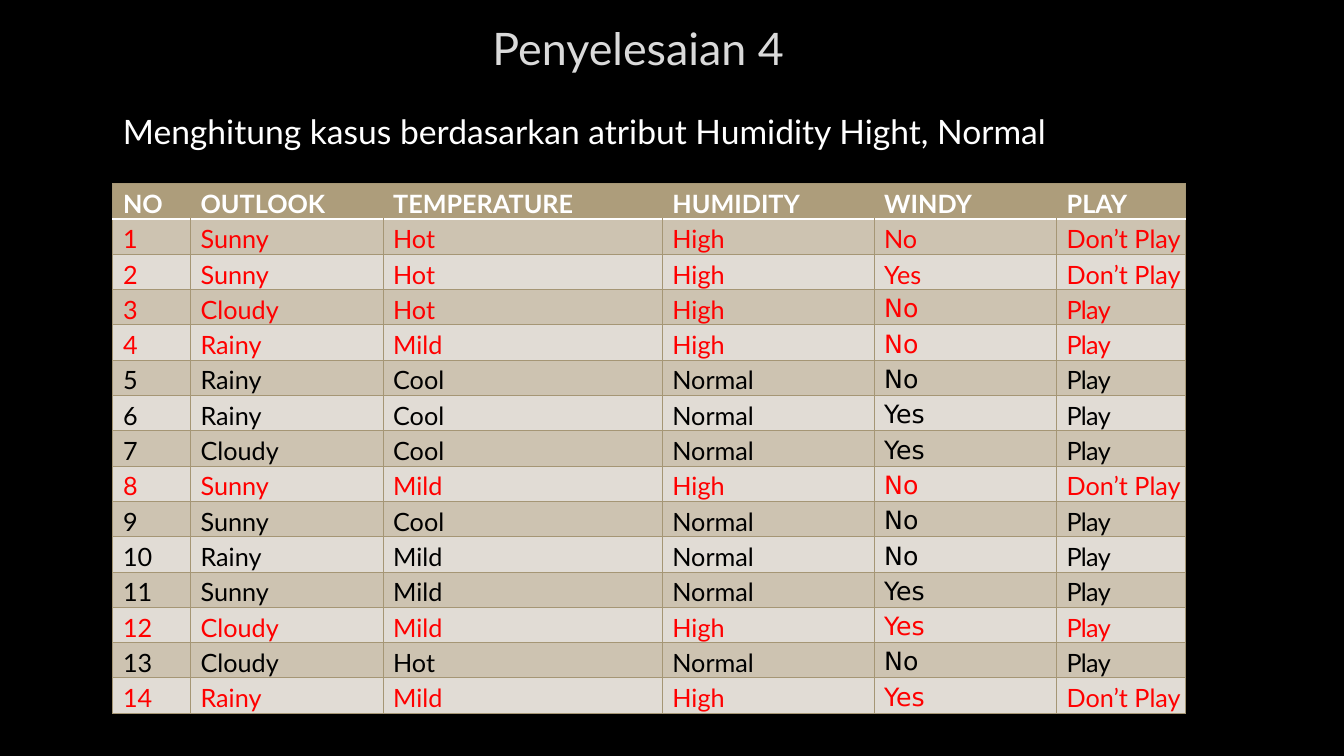
from lxml import etree
from pptx import Presentation
from pptx.dml.color import RGBColor
from pptx.enum.text import MSO_ANCHOR, PP_ALIGN
from pptx.oxml.ns import qn
from pptx.util import Inches, Pt

CENTER = PP_ALIGN.CENTER
MIDDLE = MSO_ANCHOR.MIDDLE
TOP = MSO_ANCHOR.TOP

BLACK = RGBColor(0x00, 0x00, 0x00)
WHITE = RGBColor(0xFF, 0xFF, 0xFF)
RED = RGBColor(0xFF, 0x00, 0x00)
TITLE_GREY = RGBColor(0xDA, 0xDA, 0xDA)
HEADER_TAN = RGBColor(0xAD, 0x9D, 0x7B)
BAND_DARK = RGBColor(0xCD, 0xC3, 0xB1)
BAND_LIGHT = RGBColor(0xE1, 0xDC, 0xD5)
GRID_TAN = RGBColor(0xA5, 0x96, 0x75)

FONT = "Lato"
WINDY_FONT = "DejaVu Sans"
NO_STYLE = "{2D5ABB26-0587-4C30-8999-92F81FD0307C}"

COL_WIDTHS = [0.77, 1.91, 2.77, 2.1, 1.81, 1.28]
ROW_HEIGHT = 0.35
HEADER = ["NO", "OUTLOOK", "TEMPERATURE", "HUMIDITY", "WINDY", "PLAY"]
HUMIDITY, WINDY = HEADER.index("HUMIDITY"), HEADER.index("WINDY")
CASES = [
    ["Sunny", "Hot", "High", "No", "Don’t Play"],
    ["Sunny", "Hot", "High", "Yes", "Don’t Play"],
    ["Cloudy", "Hot", "High", "No", "Play"],
    ["Rainy", "Mild", "High", "No", "Play"],
    ["Rainy", "Cool", "Normal", "No", "Play"],
    ["Rainy", "Cool", "Normal", "Yes", "Play"],
    ["Cloudy", "Cool", "Normal", "Yes", "Play"],
    ["Sunny", "Mild", "High", "No", "Don’t Play"],
    ["Sunny", "Cool", "Normal", "No", "Play"],
    ["Rainy", "Mild", "Normal", "No", "Play"],
    ["Sunny", "Mild", "Normal", "Yes", "Play"],
    ["Cloudy", "Mild", "High", "Yes", "Play"],
    ["Cloudy", "Hot", "Normal", "No", "Play"],
    ["Rainy", "Mild", "High", "Yes", "Don’t Play"],
]


class SlideBuilder:
    def __init__(self, prs):
        self.s = prs.slides.add_slide(prs.slide_layouts[6])
        fill = self.s.background.fill
        fill.solid()
        fill.fore_color.rgb = BLACK

    def style(self, p, size, color, bold=False, font=FONT):
        p.font.name = font
        p.font.size = Pt(size)
        p.font.bold = bold
        p.font.color.rgb = color

    def text(self, box, text, size, color, align=None, anchor=TOP):
        tf = self.s.shapes.add_textbox(*map(Inches, box)).text_frame
        tf.word_wrap = True
        tf.vertical_anchor = anchor
        p = tf.paragraphs[0]
        p.text = text
        p.alignment = align
        self.style(p, size, color)

    def border(self, cell, side, color, width):
        ln = etree.SubElement(cell._tc.get_or_add_tcPr(), qn(f"a:ln{side}"), w=str(Pt(width)))
        fill = etree.SubElement(ln, qn("a:solidFill"))
        etree.SubElement(fill, qn("a:srgbClr"), val=str(color))

    def cell(self, cell, text, fill, color, borders, bold=False, font=FONT):
        cell.margin_left, cell.margin_top = Inches(0.1), Inches(0.05)
        cell.margin_right = cell.margin_bottom = 0
        for side, (line_color, width) in borders.items():
            self.border(cell, side, line_color, width)
        cell.fill.solid()
        cell.fill.fore_color.rgb = fill
        p = cell.text_frame.paragraphs[0]
        p.text = text
        self.style(p, 18, color, bold, font)
        if text == "Play":
            p.runs[0].font._element.set("spc", "-50")

    def case_table(self, left, top):
        frame = self.s.shapes.add_table(
            len(CASES) + 1, len(HEADER), Inches(left), Inches(top),
            Inches(sum(COL_WIDTHS)), Inches(ROW_HEIGHT * (len(CASES) + 1)))
        table = frame.table
        table._tbl.tblPr.find(qn("a:tableStyleId")).text = NO_STYLE
        for column, width in zip(table.columns, COL_WIDTHS):
            column.width = Inches(width)
        for row in table.rows:
            row.height = Inches(ROW_HEIGHT)

        grid, rule = (GRID_TAN, 0.75), (WHITE, 1.25)
        last = len(HEADER) - 1
        for c, name in enumerate(HEADER):
            borders = {"L": grid} if c == 0 else {"R": grid} if c == last else {}
            borders.update(T=grid, B=rule)
            self.cell(table.cell(0, c), name, HEADER_TAN, WHITE, borders, bold=True)

        for number, case in enumerate(CASES, 1):
            values = [str(number), *case]
            color = RED if values[HUMIDITY] == "High" else BLACK
            fill = BAND_DARK if number % 2 else BAND_LIGHT
            borders = {"L": grid, "R": grid, "T": rule if number == 1 else grid, "B": grid}
            for c, value in enumerate(values):
                font = WINDY_FONT if c == WINDY and number > 2 else FONT
                self.cell(table.cell(number, c), value, fill, color, borders, font=font)


def main():
    prs = Presentation()
    prs.slide_width, prs.slide_height = Inches(13.33), Inches(7.5)
    slide = SlideBuilder(prs)
    slide.text((1.12, 0.2, 10.42, 0.55), "Penyelesaian 4", 32, TITLE_GREY, CENTER, MIDDLE)
    slide.case_table(1.12, 1.82)
    slide.text((1.12, 1.05, 11.03, 0.5),
               "Menghitung kasus berdasarkan atribut Humidity Hight, Normal", 24, WHITE)
    prs.save("out.pptx")


if __name__ == "__main__":
    main()
